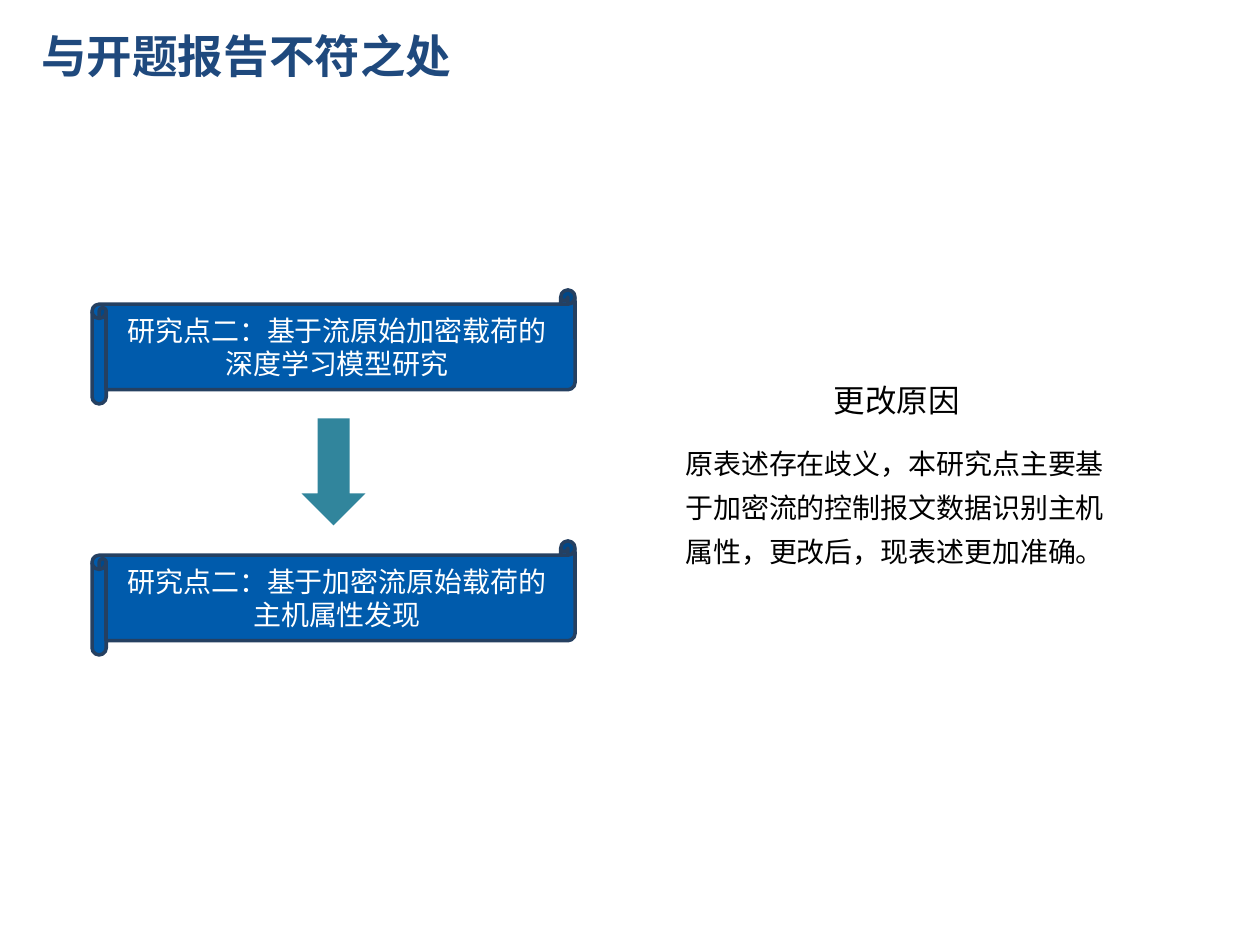
from lxml.etree import SubElement
from pptx import Presentation
from pptx.dml.color import RGBColor
from pptx.enum.shapes import MSO_SHAPE
from pptx.enum.text import MSO_ANCHOR, MSO_AUTO_SIZE, PP_ALIGN
from pptx.oxml.ns import qn
from pptx.util import Emu, Pt

COLORS = {
    "title": "1F497D",
    "scroll": "005BAC",
    "outline": "254061",
    "arrow": "31859C",
    "light": "FFFFFF",
    "dark": "000000",
}
CHINESE_FONT = "Noto Sans CJK SC"
BODY_FONT = "Roboto"


def px(length):
    """Turn pixels at 126 to the inch into EMU."""
    return Emu(round(length * 914400 / 126))


def color(name):
    """Look up a palette colour."""
    return RGBColor.from_string(COLORS[name])


def write(paragraph, words, size, tint, face=BODY_FONT, bold=False, **layout):
    """Put one formatted run into a paragraph."""
    for attribute, value in layout.items():
        setattr(paragraph, attribute, value)
    run = paragraph.add_run()
    run.text = words
    font_format = {"size": Pt(size), "name": face, "bold": bold}
    for attribute, value in font_format.items():
        setattr(run.font, attribute, value)
    run.font.color.rgb = color(tint)
    SubElement(run.font._element, qn("a:ea"), typeface=CHINESE_FONT)


def add_text_frame(slide, box, **layout):
    """Add a wrapping text box and return its frame."""
    frame = slide.shapes.add_textbox(*map(px, box)).text_frame
    frame.word_wrap = True
    for attribute, value in layout.items():
        setattr(frame, attribute, value)
    return frame


def add_filled_shape(slide, preset, box, fill):
    """Add a flat preset shape without an outline."""
    shape = slide.shapes.add_shape(preset, *map(px, box))
    shape.shadow.inherit = False
    shape.fill.solid()
    shape.fill.fore_color.rgb = color(fill)
    shape.line.fill.background()
    return shape


def add_scroll(slide, top, topic):
    """Add a scroll banner holding a research topic."""
    scroll = add_filled_shape(
        slide, MSO_SHAPE.HORIZONTAL_SCROLL, (92, top, 483, 114), "scroll"
    )
    scroll.line.color.rgb = color("outline")
    scroll.line.width = Pt(2)
    frame = scroll.text_frame
    frame.word_wrap = True
    frame.vertical_anchor = MSO_ANCHOR.MIDDLE
    write(frame.paragraphs[0], topic, 16, "light", alignment=PP_ALIGN.CENTER)


def add_reason(slide, heading, explanation):
    """Add the heading and explanation of the change."""
    frame = add_text_frame(
        slide, (673, 369, 447, 207), auto_size=MSO_AUTO_SIZE.SHAPE_TO_FIT_TEXT
    )
    write(frame.paragraphs[0], heading, 18, "dark", alignment=PP_ALIGN.CENTER,
          line_spacing=Pt(25), space_after=Pt(10))
    write(frame.add_paragraph(), explanation, 16, "dark", line_spacing=Pt(25))


def main():
    """Build and save the slide."""
    presentation = Presentation()
    presentation.slide_width, presentation.slide_height = px(1260), px(945)
    slide = presentation.slides.add_slide(presentation.slide_layouts[6])

    title = add_text_frame(
        slide, (29, 15, 1178, 81), vertical_anchor=MSO_ANCHOR.MIDDLE
    )
    write(title.paragraphs[0], "与开题报告不符之处", 26, "title", CHINESE_FONT, True)

    change_arrow = add_filled_shape(
        slide, MSO_SHAPE.RIGHT_ARROW, (280, 440, 107, 64), "arrow"
    )
    change_arrow.rotation = 90

    add_scroll(slide, 290, "研究点二：基于流原始加密载荷的深度学习模型研究")
    add_scroll(slide, 541, "研究点二：基于加密流原始载荷的主机属性发现")
    add_reason(
        slide,
        "更改原因",
        "原表述存在歧义，本研究点主要基于加密流的控制报文数据识别主机属性，更改后，现表述更加准确。",
    )
    presentation.save("out.pptx")


if __name__ == "__main__":
    main()
